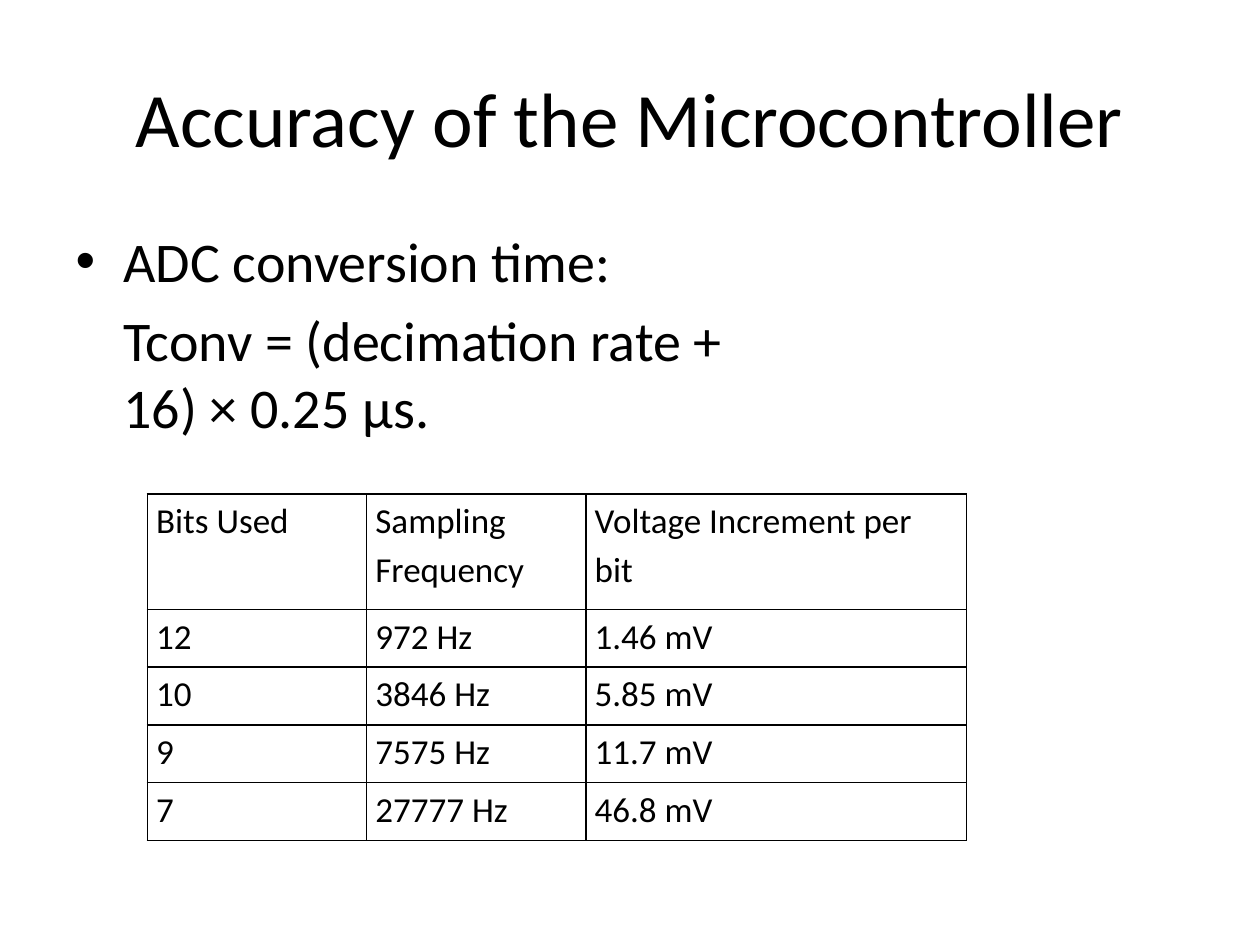
from lxml import etree
from pptx import Presentation
from pptx import util as u
from pptx.dml import color
from pptx.enum import text
from pptx.oxml import ns

COLORS = {"ink": "000000", "paper": "FFFFFF"}
FONT = "Calibri"
ROWS = [
    ("Bits Used", "Sampling Frequency", "Voltage Increment per bit"),
    ("12", "972 Hz", "1.46 mV"),
    ("10", "3846 Hz", "5.85 mV"),
    ("9", "7575 Hz", "11.7 mV"),
    ("7", "27777 Hz", "46.8 mV"),
]


def rgb(name):
    return color.RGBColor.from_string(COLORS[name])


def write(para, words, size, align=text.PP_ALIGN.LEFT, before=0, spacing=None):
    para.alignment = align
    para.space_before = u.Pt(before)
    if spacing:
        para.line_spacing = spacing
    span = para.add_run()
    span.text = words
    span.font.name = FONT
    span.font.size = u.Pt(size)
    span.font.color.rgb = rgb("ink")


def place(shape, box):
    shape.left, shape.top, shape.width, shape.height = map(u.Inches, box)


def set_bullet(para, mark=None, indent=0.0):
    props = para._p.get_or_add_pPr()
    props.set("marL", str(u.Inches(0.38)))
    props.set("indent", str(u.Inches(indent)))
    if mark:
        etree.SubElement(props, ns.qn("a:buChar")).set("char", mark)
    else:
        etree.SubElement(props, ns.qn("a:buNone"))


def add_title(page, box):
    title = page.shapes.title
    place(title, box)
    title.text_frame.vertical_anchor = text.MSO_ANCHOR.MIDDLE
    write(title.text_frame.paragraphs[0], "Accuracy of the Microcontroller", 44,
          align=text.PP_ALIGN.CENTER)


def add_body(page, box):
    body = page.placeholders[1]
    place(body, box)
    frame = body.text_frame
    heading = frame.paragraphs[0]
    set_bullet(heading, "•", -0.38)
    write(heading, "ADC conversion time:", 32)
    formula = frame.add_paragraph()
    set_bullet(formula)
    write(formula, "Tconv = (decimation rate + 16) × 0.25 μs.", 32, before=6.4)


def add_borders(cell):
    props = cell._tc.get_or_add_tcPr()
    for index, side in enumerate(("lnL", "lnR", "lnT", "lnB")):
        line = etree.Element(ns.qn("a:" + side), w=str(u.Pt(1)))
        fill = etree.SubElement(line, ns.qn("a:solidFill"))
        etree.SubElement(fill, ns.qn("a:srgbClr")).set("val", COLORS["ink"])
        props.insert(index, line)


def add_accuracy_table(page, box):
    frame = page.shapes.add_table(len(ROWS), len(ROWS[0]), *map(u.Inches, box))
    table = frame.table
    table.first_row = table.horz_banding = False
    for column, width in zip(table.columns, (1.74, 1.74, 3.02)):
        column.width = u.Inches(width)
    unit = box[3] / (len(ROWS) + 1)
    for index, (row, values) in enumerate(zip(table.rows, ROWS)):
        row.height = u.Inches(unit * (1 if index else 2))
        for cell, value in zip(row.cells, values):
            cell.margin_left = cell.margin_right = u.Inches(0.07)
            cell.margin_top = cell.margin_bottom = 0
            cell.fill.background()
            add_borders(cell)
            write(cell.text_frame.paragraphs[0], value, 20, spacing=1.15)


def main():
    deck = Presentation()
    deck.slide_width, deck.slide_height = u.Inches(10), u.Inches(7.5)
    page = deck.slides.add_slide(deck.slide_layouts[1])
    page.background.fill.solid()
    page.background.fill.fore_color.rgb = rgb("paper")
    add_title(page, (0.5, 0.3, 9, 1.25))
    add_body(page, (0.5, 1.75, 5.58, 4.95))
    add_accuracy_table(page, (1.17, 3.92, 6.5, 2.75))
    deck.save("out.pptx")


if __name__ == "__main__":
    main()
